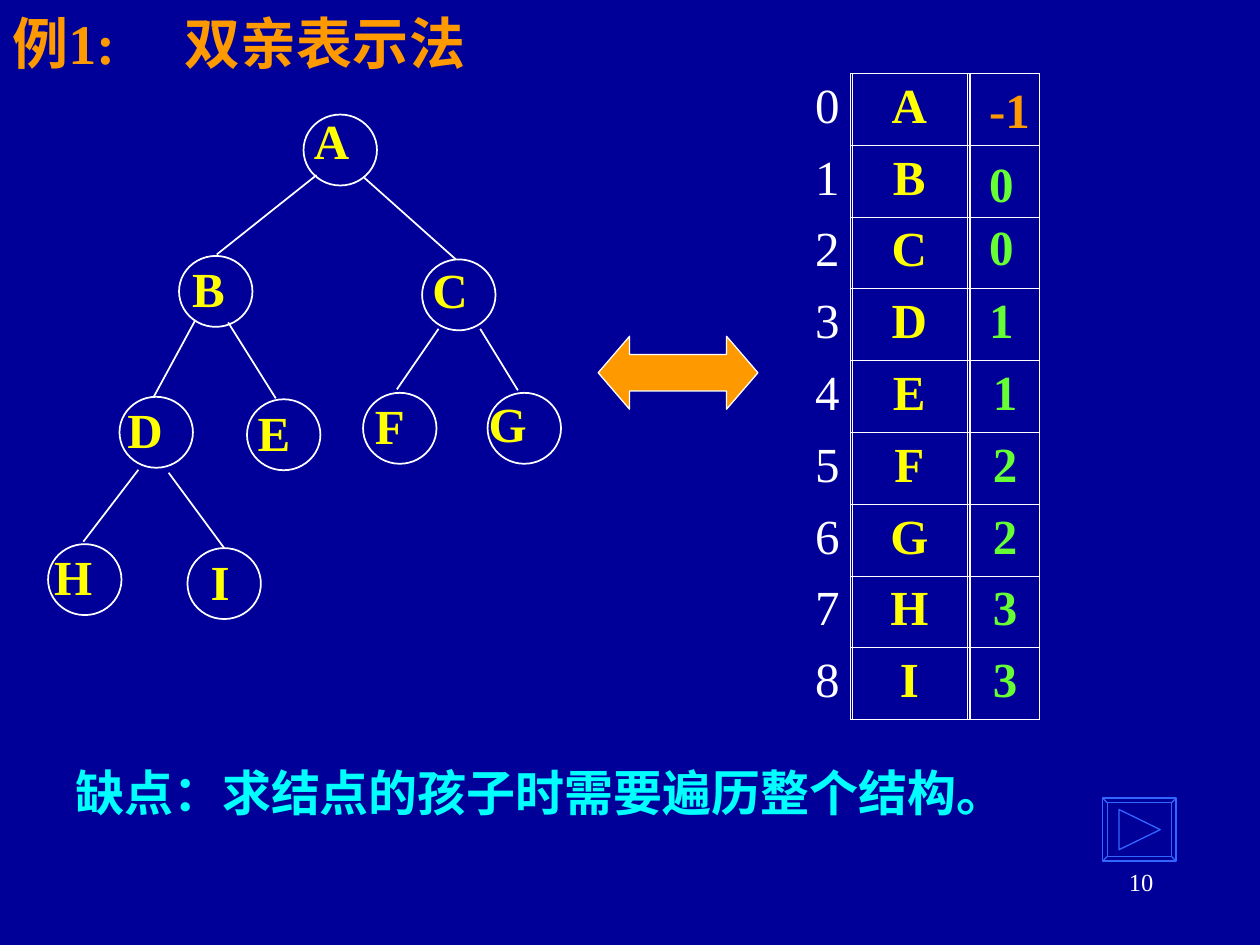
from dataclasses import dataclass

from lxml.etree import SubElement
from pptx import Presentation
from pptx.dml.color import RGBColor
from pptx.enum.shapes import MSO_CONNECTOR, MSO_SHAPE
from pptx.enum.text import MSO_ANCHOR, MSO_AUTO_SIZE, PP_ALIGN
from pptx.oxml.ns import qn
from pptx.util import Cm, Pt


@dataclass(frozen=True)
class Theme:
    back: str = "000099"
    line: str = "FFFFFF"
    node: str = "FFFF00"
    parent: str = "66FF33"
    accent: str = "FF9900"
    remark: str = "00FFFF"
    button: str = "3366FF"
    serif: str = "Times New Roman"
    sans: str = "Arial"
    cjk: str = "Noto Sans CJK SC"
    title: int = 32
    body: int = 28
    small: int = 14
    border: float = 0.45


T = Theme()
NO_STYLE = "{2D5ABB26-0587-4C30-8999-92F81FD0307C}"
NODES = {
    "A": (5.28, 0.2), "B": (2.77, 3.05), "C": (7.67, 3.12),
    "D": (1.57, 5.89), "E": (4.14, 5.94), "F": (6.48, 5.81),
    "G": (8.99, 5.81), "H": (0.13, 8.86), "I": (2.94, 8.94),
}
LABELS = {
    "A": (-0.05, -0.2, 1.22), "B": (0, -0.08, 1.17), "C": (-0.05, -0.12, 1.22),
    "D": (-0.1, -0.08, 1.22), "E": (-0.05, -0.07, 1.17), "F": (-0.03, -0.07, 1.12),
    "G": (-0.23, -0.12, 1.27), "H": (-0.13, -0.07, 1.27), "I": (0.21, -0.05, 0.89),
}
EDGES = [
    (5.54, 1.42, 3.53, 3.02), (6.5, 1.47, 8.35, 3.12),
    (3.1, 4.34, 2.26, 5.89), (3.76, 4.39, 4.72, 5.92),
    (8, 4.52, 7.16, 5.74), (8.84, 4.52, 9.6, 5.76),
    (1.95, 7.36, 0.84, 8.81), (2.56, 7.42, 3.68, 8.94),
]


def rgb(color):
    return RGBColor.from_string(color)


def cms(*values):
    return [Cm(v) for v in values]


def write(tf, text, color=T.line, size=T.body, font=T.serif, bold=True,
          align=PP_ALIGN.LEFT, tab=None):
    p = tf.paragraphs[0]
    p.alignment = align
    if tab:
        tabs = SubElement(p._p.get_or_add_pPr(), qn("a:tabLst"))
        SubElement(tabs, qn("a:tab"), pos=str(Cm(tab)), algn="l")
    r = p.add_run()
    r.text = text
    r.font.size, r.font.bold, r.font.name = Pt(size), bold, font
    r.font.color.rgb = rgb(color)
    SubElement(r._r.get_or_add_rPr(), qn("a:ea"), typeface=T.cjk)


def add_text(shapes, box, text, wrap=True, anchor=MSO_ANCHOR.TOP, **fmt):
    tf = shapes.add_textbox(*cms(*box)).text_frame
    tf.word_wrap = wrap
    tf.vertical_anchor = anchor
    if not wrap:
        tf.auto_size = MSO_AUTO_SIZE.SHAPE_TO_FIT_TEXT
    write(tf, text, **fmt)


def outline(sp, color, width, fill=None):
    sp.shadow.inherit = False
    sp.line.color.rgb = rgb(color)
    sp.line.width = Pt(width)
    if fill:
        sp.fill.solid()
        sp.fill.fore_color.rgb = rgb(fill)
    else:
        sp.fill.background()


def add_tree(s, x, y):
    shapes = s.shapes.add_group_shape().shapes
    for name, (dx, dy) in NODES.items():
        left, top = x + dx, y + dy
        sp = shapes.add_shape(MSO_SHAPE.OVAL, *cms(left, top, 1.48, 1.43))
        outline(sp, T.line, 1)
        lx, ly, w = LABELS[name]
        add_text(shapes, (left + lx, top + ly, w, 1.45), name, wrap=False,
                 color=T.node, align=PP_ALIGN.RIGHT)
    for x1, y1, x2, y2 in EDGES:
        cn = shapes.add_connector(MSO_CONNECTOR.STRAIGHT,
                                  *cms(x + x1, y + y1, x + x2, y + y2))
        cn.line.color.rgb = rgb(T.line)
        cn.line.width = Pt(1)
        SubElement(cn._element.spPr, qn("a:effectLst"))


def add_borders(cell):
    tcPr = cell._tc.get_or_add_tcPr()
    for side in "LRTB":
        ln = SubElement(tcPr, qn("a:ln" + side), w=str(Pt(T.border)))
        fill = SubElement(ln, qn("a:solidFill"))
        SubElement(fill, qn("a:srgbClr"), val=T.line)


def add_grid(s, box, widths, texts, open_cols=(), **fmt):
    x, y, h = box
    rows, cols = len(texts), len(widths)
    frame = s.shapes.add_table(rows, cols, *cms(x, y, sum(widths), h))
    tbl = frame.table
    tbl.first_row = tbl.horz_banding = False
    tbl._tbl.tblPr.find(qn("a:tableStyleId")).text = NO_STYLE
    for c, w in enumerate(widths):
        tbl.columns[c].width = Cm(w)
    for i, text in enumerate(texts):
        for c in range(cols):
            cell = tbl.cell(i, c)
            if c not in open_cols:
                add_borders(cell)
            cell.fill.background()
        if text:
            write(tbl.cell(i, 0).text_frame, text, **fmt)


def add_parent_array(s, x, y):
    h = 13.03
    add_grid(s, (x, y, h), (2.36, 2.36, 1.41), "012345678", open_cols=(0,),
             bold=False, align=PP_ALIGN.RIGHT)
    add_grid(s, (x + 4.74, y, h), (1.4,), [""] * 4 + list("12233"),
             color=T.parent, align=PP_ALIGN.CENTER)
    add_grid(s, (x + 2.33, y, h), (2.36,), "ABCDEFGHI",
             color=T.node, align=PP_ALIGN.CENTER)
    for dy, w, text, color in ((0, 1.33, "-1", T.accent), (1.5, 1, "0", T.parent),
                               (2.77, 1, "0", T.parent), (4.24, 1, "1", T.parent)):
        add_text(s.shapes, (x + 4.87, y + dy, w, 1.45), text, wrap=False,
                 color=color)


def add_arrow(s, x, y, w, h):
    sp = s.shapes.add_shape(MSO_SHAPE.LEFT_RIGHT_ARROW, *cms(x, y, w, h))
    sp.adjustments[0], sp.adjustments[1] = 0.5, 0.43
    outline(sp, T.line, 0.75, fill=T.accent)


def add_next_button(s, x, y, w, h):
    d = 0.09
    outer = [(0, 0), (w, 0), (w, h), (0, h)]
    inner = [(d, d), (w - d, d), (w - d, h - d), (d, h - d)]
    triangle = [(0.33, 0.23), (1.16, h / 2), (0.33, h - 0.23)]
    contours = [(outer, True), (inner, True), (triangle, True)]
    contours += [(pair, False) for pair in zip(outer, inner)]
    fb = s.shapes.build_freeform(0, 0, scale=1.0)
    for points, closed in contours:
        first, *rest = [cms(*pt) for pt in points]
        fb.move_to(*first)
        fb.add_line_segments(rest, close=closed)
    outline(fb.convert_to_shape(*cms(x, y)), T.button, 0.75)


def main():
    prs = Presentation()
    prs.slide_width, prs.slide_height = cms(25.4, 19.05)
    s = prs.slides.add_slide(prs.slide_layouts[6])
    s.background.fill.solid()
    s.background.fill.fore_color.rgb = rgb(T.back)
    add_tree(s, 0.84, 2.11)
    add_text(s.shapes, (1.27, 15.24, 19.48, 1.45),
             "缺点：求结点的孩子时需要遍历整个结构。", color=T.remark, font=T.sans)
    add_arrow(s, 12.06, 6.78, 3.22, 1.47)
    add_next_button(s, 22.23, 16.09, 1.48, 1.27)
    add_parent_array(s, 14.82, 1.48)
    add_text(s.shapes, (0, 0, 10.16, 1.7), "例1:\t双亲表示法", color=T.accent,
             size=T.title, anchor=MSO_ANCHOR.MIDDLE, tab=3.48)
    add_text(s.shapes, (18.21, 17.36, 5.29, 1.27), "10", size=T.small,
             bold=False, align=PP_ALIGN.RIGHT)
    prs.save("out.pptx")


if __name__ == "__main__":
    main()
